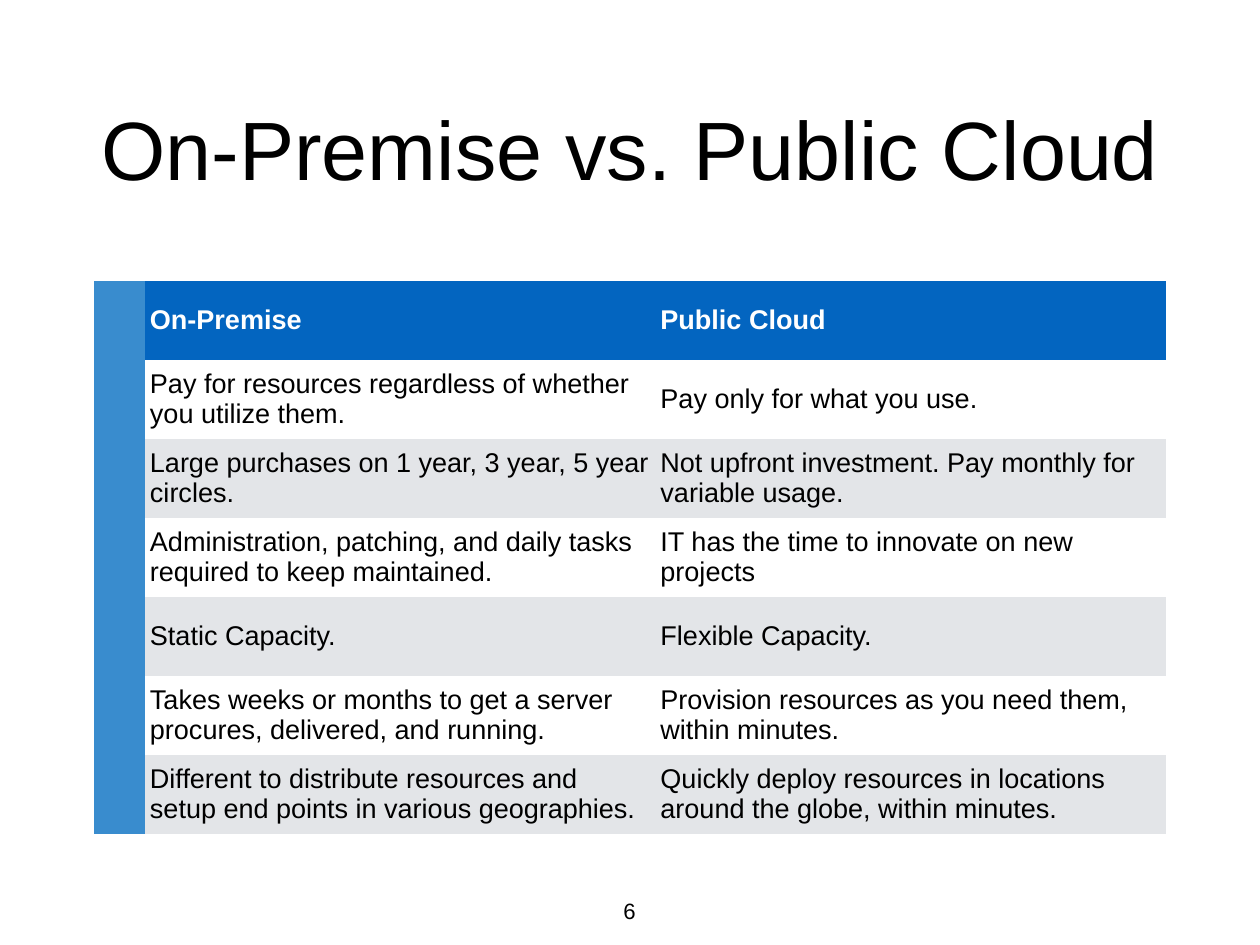
import dataclasses

import pptx
import pptx.dml.color
import pptx.enum.text
import pptx.util

PX = 914400 / 88.6
ALIGN = pptx.enum.text.PP_ALIGN
MIDDLE = pptx.enum.text.MSO_ANCHOR.MIDDLE
NO_GRID = "{2D5ABB26-0587-4C30-8999-92F81FD0307C}"

ROWS = [
    ("On-Premise", "Public Cloud"),
    ("Pay for resources regardless of whether you utilize them.",
     "Pay only for what you use."),
    ("Large purchases on 1 year, 3 year, 5 year circles.",
     "Not upfront investment. Pay monthly for variable usage."),
    ("Administration, patching, and daily tasks required to keep maintained.",
     "IT has the time to innovate on new projects"),
    ("Static Capacity.", "Flexible Capacity."),
    ("Takes weeks or months to get a server procures, delivered, and running.",
     "Provision resources as you need them, within minutes."),
    ("Different to distribute resources and setup end points in various geographies.",
     "Quickly deploy resources in locations around the globe, within minutes."),
]


@dataclasses.dataclass(frozen=True)
class Theme:
    """Colours, font and type sizes of the slide."""
    font: str = "Arial"
    text: str = "000000"
    header_text: str = "FFFFFF"
    header: str = "0365C0"
    side: str = "398CCE"
    plain: str = "FFFFFF"
    band: str = "E3E5E8"
    title_size: float = 67.2
    table_size: float = 22
    number_size: float = 18


THEME = Theme()


def px(n):
    """Turn pixels into EMU."""
    return pptx.util.Emu(round(n * PX))


def rgb(value):
    """Turn a hex string into a colour."""
    return pptx.dml.color.RGBColor.from_string(value)


def write(tf, text, size, color=THEME.text, bold=False, align=ALIGN.LEFT):
    """Write one formatted paragraph into a text frame."""
    p = tf.paragraphs[0]
    p.alignment = align
    r = p.add_run()
    r.text = text
    r.font.name = THEME.font
    r.font.size = pptx.util.Pt(size)
    r.font.bold = bold
    r.font.color.rgb = rgb(color)


def add_label(s, box, text, size, wrap=True, anchor=MIDDLE):
    """Add a centred text box without insets."""
    tf = s.shapes.add_textbox(*map(px, box)).text_frame
    tf.margin_left = tf.margin_top = tf.margin_right = tf.margin_bottom = 0
    tf.word_wrap = wrap
    tf.vertical_anchor = anchor
    write(tf, text, size, align=ALIGN.CENTER)


def add_comparison(s, box, rows, side_width=51, inset=5):
    """Add the banded comparison table with its side column."""
    width, height = box[2:]
    tbl = s.shapes.add_table(len(rows), 3, *map(px, box)).table
    tbl.first_row = tbl.horz_banding = False
    tbl._tbl.tblPr[0].text = NO_GRID
    column_width = (width - side_width) / 2
    for column, w in zip(tbl.columns, (side_width, column_width, column_width)):
        column.width = px(w)
    for i, texts in enumerate(rows):
        tbl.rows[i].height = px(height / len(rows))
        is_header = i == 0
        row_fill = THEME.header if is_header else (THEME.band, THEME.plain)[i % 2]
        for j, text in enumerate(("", *texts)):
            cell = tbl.cell(i, j)
            cell.fill.solid()
            cell.fill.fore_color.rgb = rgb(row_fill if j else THEME.side)
            cell.vertical_anchor = MIDDLE
            cell.margin_left = cell.margin_right = px(inset)
            cell.margin_top = cell.margin_bottom = px(inset)
            if text:
                write(cell.text_frame, text, THEME.table_size, bold=is_header,
                      color=THEME.header_text if is_header else THEME.text)


def build_slide(prs):
    """Lay out the title, the table and the slide number."""
    s = prs.slides.add_slide(prs.slide_layouts[6])
    add_label(s, (92, 43, 1076, 209), "On-Premise vs. Public Cloud", THEME.title_size)
    add_comparison(s, (94, 281, 1072, 553), ROWS)
    add_label(s, (618, 897, 23, 37), "6", THEME.number_size, wrap=False,
              anchor=pptx.enum.text.MSO_ANCHOR.TOP)


prs = pptx.Presentation()
prs.slide_width, prs.slide_height = px(1260), px(945)
build_slide(prs)
prs.save("out.pptx")
